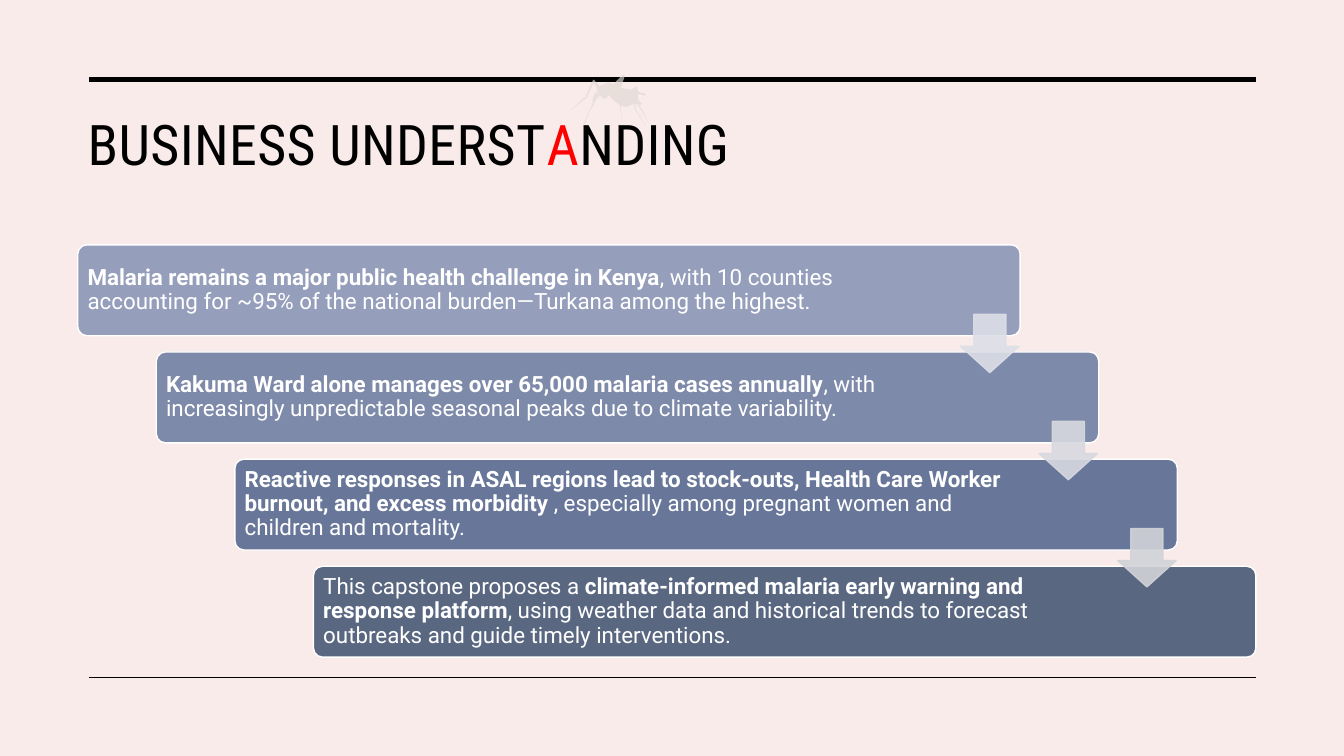
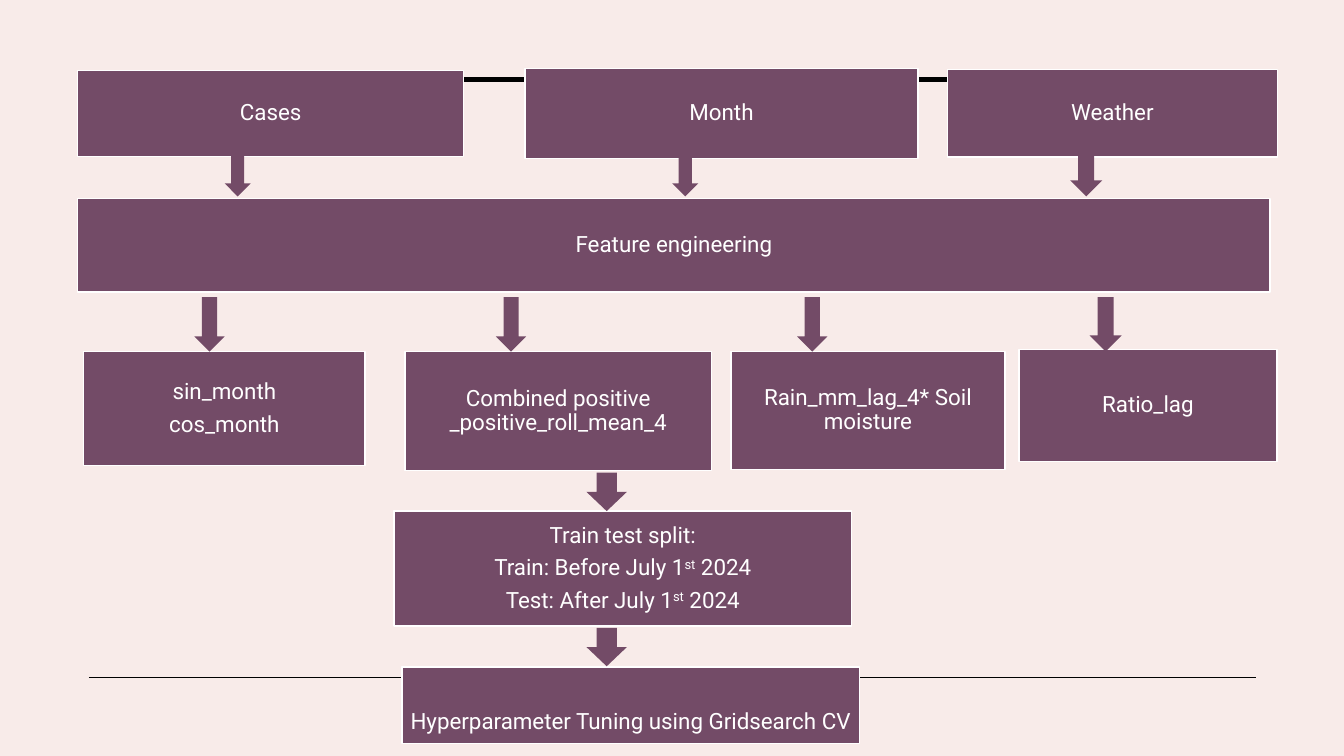
import dataclasses

import lxml.etree
import pptx
import pptx.dml.color
import pptx.enum.shapes
import pptx.enum.text
import pptx.oxml.ns
import pptx.util

Cm = pptx.util.Cm
Pt = pptx.util.Pt
Kind = pptx.enum.shapes.MSO_SHAPE
Align = pptx.enum.text.PP_ALIGN
Anchor = pptx.enum.text.MSO_ANCHOR
qn = pptx.oxml.ns.qn


@dataclasses.dataclass(frozen=True)
class Theme:
    paper: str = "F8EBE9"
    ink: str = "000000"
    white: str = "FFFFFF"
    red: str = "FF0000"
    plum: str = "734B67"
    insect: str = "E0D7D3"
    steps: tuple = ("959EBB", "7E8AAA", "687799", "596781")
    drops: tuple = ("DDDFE7", "D7D9E0", "D1D3D8")
    head: str = "Roboto Condensed"
    body: str = "Roboto"
    big: int = 40
    small: int = 16


THEME = Theme()


def rgb(code):
    return pptx.dml.color.RGBColor.from_string(code)


def write(frame, paras, size=THEME.small, face=THEME.body, color=THEME.white,
          align=Align.LEFT, anchor=Anchor.MIDDLE, lead=0.9, gap=6,
          pads=(0.18, 0.18, 0.18, 0.18), track=None):
    frame.word_wrap = True
    frame.vertical_anchor = anchor
    (frame.margin_left, frame.margin_top,
     frame.margin_right, frame.margin_bottom) = map(Cm, pads)
    for i, runs in enumerate(paras):
        para = frame.add_paragraph() if i else frame.paragraphs[0]
        para.alignment = align
        para.line_spacing = lead
        para.space_before = Pt(gap if i else 0)
        for item in runs:
            words, look = (item, {}) if isinstance(item, str) else item
            run = para.add_run()
            run.text = words
            run.font.name = face
            run.font.size = Pt(size)
            run.font.bold = look.get("bold", False)
            run.font.color.rgb = rgb(look.get("color", color))
            props = run.font._element
            if track:
                props.set("spc", str(track))
            if "raise" in look:
                props.set("baseline", str(look["raise"] * 1000))


class Deck:
    def __init__(self, theme):
        self.theme = theme
        self.prs = pptx.Presentation()
        self.prs.slide_width = Cm(33.87)
        self.prs.slide_height = Cm(19.05)
        self.slide = None
        fill = self.prs.slide_master.background.fill
        fill.solid()
        fill.fore_color.rgb = rgb(theme.paper)

    def page(self, title=None):
        layout = self.prs.slide_layouts[5 if title else 6]
        self.slide = self.prs.slides.add_slide(layout)
        if title:
            box = self.slide.shapes.title
            box.left, box.top, box.width, box.height = map(Cm, (1.96, 2.51, 29.69, 3.2))
            write(box.text_frame, [title], size=self.theme.big, face=self.theme.head,
                  color=self.theme.ink, anchor=Anchor.TOP, lead=1,
                  pads=(0.25, 0.24, 0.25, 0.13), track=30)

    def rule(self, top, width):
        line = self.slide.shapes.add_connector(
            pptx.enum.shapes.MSO_CONNECTOR.STRAIGHT, Cm(2.24), Cm(top), Cm(31.65), Cm(top))
        line.line.color.rgb = rgb(self.theme.ink)
        line.line.width = Pt(width)
        lxml.etree.SubElement(line.element.spPr, qn("a:effectLst"))
        tree = self.prs.slide_master.shapes.element
        line.element.nvCxnSpPr.cNvPr.set("id", str(100 + len(tree)))
        tree.append(line.element)

    def paint(self, shape, fill, edge=None, alpha=100):
        shape.shadow.inherit = False
        shape.fill.solid()
        shape.fill.fore_color.rgb = rgb(fill)
        if edge:
            shape.line.color.rgb = rgb(edge)
            shape.line.width = Pt(1)
        else:
            shape.line.fill.background()
        if alpha < 100:
            for tint in shape.element.spPr.iter(qn("a:srgbClr")):
                lxml.etree.SubElement(tint, qn("a:alpha")).set("val", str(alpha * 1000))
        return shape

    def shape(self, kind, spot, fill, edge=None, alpha=100, bends=()):
        shape = self.slide.shapes.add_shape(kind, *map(Cm, spot))
        for i, bend in enumerate(bends):
            shape.adjustments[i] = bend
        return self.paint(shape, fill, edge, alpha)

    def step(self, spot, fill, runs, right):
        box = self.shape(Kind.ROUNDED_RECTANGLE, spot, fill, self.theme.white, bends=[0.1])
        write(box.text_frame, [runs], pads=(0.18, 0.18, right, 0.18))

    def block(self, spot, paras, **look):
        box = self.shape(Kind.RECTANGLE, spot, self.theme.plum, self.theme.white)
        write(box.text_frame, paras, align=Align.CENTER, **look)

    def arrow(self, *spot):
        self.shape(Kind.DOWN_ARROW, spot, self.theme.plum)

    def sketch(self, points, fill, alpha):
        pen = self.slide.shapes.build_freeform(*points[0], scale=Cm(0.0254))
        pen.add_line_segments(points[1:], close=True)
        self.paint(pen.convert_to_shape(), fill, alpha=alpha)


BOLD = {"bold": True}
STEPS = [
    [("Malaria remains a major public health challenge in Kenya", BOLD),
     ", with 10 counties accounting for ~95% of the national burden—Turkana among the highest."],
    [("Kakuma Ward alone manages over 65,000 malaria cases annually", BOLD),
     ", with increasingly unpredictable seasonal peaks due to climate variability."],
    [("Reactive responses in ASAL regions lead to stock-outs, Health Care Worker "
      "burnout, and excess morbidity ", BOLD),
     ", especially among pregnant women and children and mortality."],
    ["This capstone proposes a ",
     ("climate-informed malaria early warning and response platform", BOLD),
     ", using weather data and historical trends to forecast outbreaks and guide "
     "timely interventions."],
]

INSECT = [
    (619, 74), (617, 75), (608, 84), (606, 83), (608, 83), (604, 82), (600, 83),
    (597, 85), (598, 83), (595, 86), (590, 80), (589, 79), (588, 80), (581, 96),
    (565, 110), (582, 97), (589, 82), (593, 88), (592, 89), (594, 91), (591, 92),
    (589, 95), (588, 99), (588, 103), (586, 107), (579, 123), (580, 123),
    (586, 108), (589, 104), (591, 99), (594, 96), (596, 94), (598, 98), (602, 97),
    (604, 94), (609, 100), (615, 104), (617, 121), (616, 105), (622, 106),
    (629, 103), (630, 109), (641, 125), (631, 109), (630, 103), (632, 103),
    (633, 104), (644, 123), (634, 103), (636, 104), (637, 103), (633, 99),
    (633, 93), (640, 95), (641, 94), (640, 93), (633, 91), (632, 86), (631, 86),
    (626, 89), (616, 87), (620, 75),
]

SUPER = ("st", {"raise": 30})
BLOCKS = [
    ((1.96, 1.78, 9.73, 2.16), [["Cases"]]),
    ((13.23, 1.73, 9.91, 2.26), [["Month"]]),
    ((23.88, 1.75, 8.31, 2.21), [["Weather"]]),
    ((1.96, 5, 30.05, 2.36), [["Feature engineering"]]),
    ((2.11, 8.86, 7.09, 2.87), [["sin_month"], ["cos_month"]]),
    ((10.21, 8.86, 7.72, 3), [["Combined positive _positive_roll_mean_4"]]),
    ((18.42, 8.86, 6.91, 2.97), [["Rain_mm_lag_4* Soil moisture"]]),
    ((25.68, 8.81, 6.5, 2.82), [["Ratio_lag"]]),
    ((9.93, 12.88, 11.53, 2.9), [["Train test split:"],
                                 ["Train: Before July 1", SUPER, " 2024"],
                                 ["Test: After July 1", SUPER, " 2024"]]),
]

ROWS = [
    (3.76, 1.19, [(5.66, 0.66), (16.94, 0.66), (26.97, 0.81)]),
    (7.49, 1.37, [(4.9, 0.76), (12.5, 0.76), (20.09, 0.76), (27.46, 0.81)]),
    (11.91, 0.97, [(14.78, 1.02)]),
    (15.82, 0.97, [(14.78, 1.02)]),
]


def needs(deck):
    deck.page(["BUSINESS UNDERST", ("A", {"color": THEME.red}), "NDING"])
    deck.rule(2.01, 3.5)
    deck.rule(17.07, 1)
    spots = [(1.96 + 1.98 * i, 6.17 + 2.7 * i) for i in range(len(STEPS))]
    for i, ((left, top), runs) in enumerate(zip(spots, STEPS)):
        deck.step((left, top, 23.75, 2.29), THEME.steps[i], runs, 3.63 if i else 2.69)
    for (left, top), tint in zip(spots, THEME.drops):
        deck.shape(Kind.DOWN_ARROW, (left + 22.25, top + 1.75, 1.47, 1.47),
                   tint, tint, 90, (0.55, 0.45))
    deck.sketch(INSECT, THEME.insect, 64)


def flow(deck):
    deck.page()
    for spot, paras in BLOCKS:
        deck.block(spot, paras)
    deck.block((10.13, 16.81, 11.53, 1.93), [["Hyperparameter Tuning using Gridsearch CV"]],
               anchor=Anchor.BOTTOM, pads=(0.18, 0.18, 0.18, 0.23))
    for top, height, marks in ROWS:
        for left, width in marks:
            deck.arrow(left, top, width, height)


def main():
    deck = Deck(THEME)
    needs(deck)
    flow(deck)
    deck.prs.save("out.pptx")


if __name__ == "__main__":
    main()
